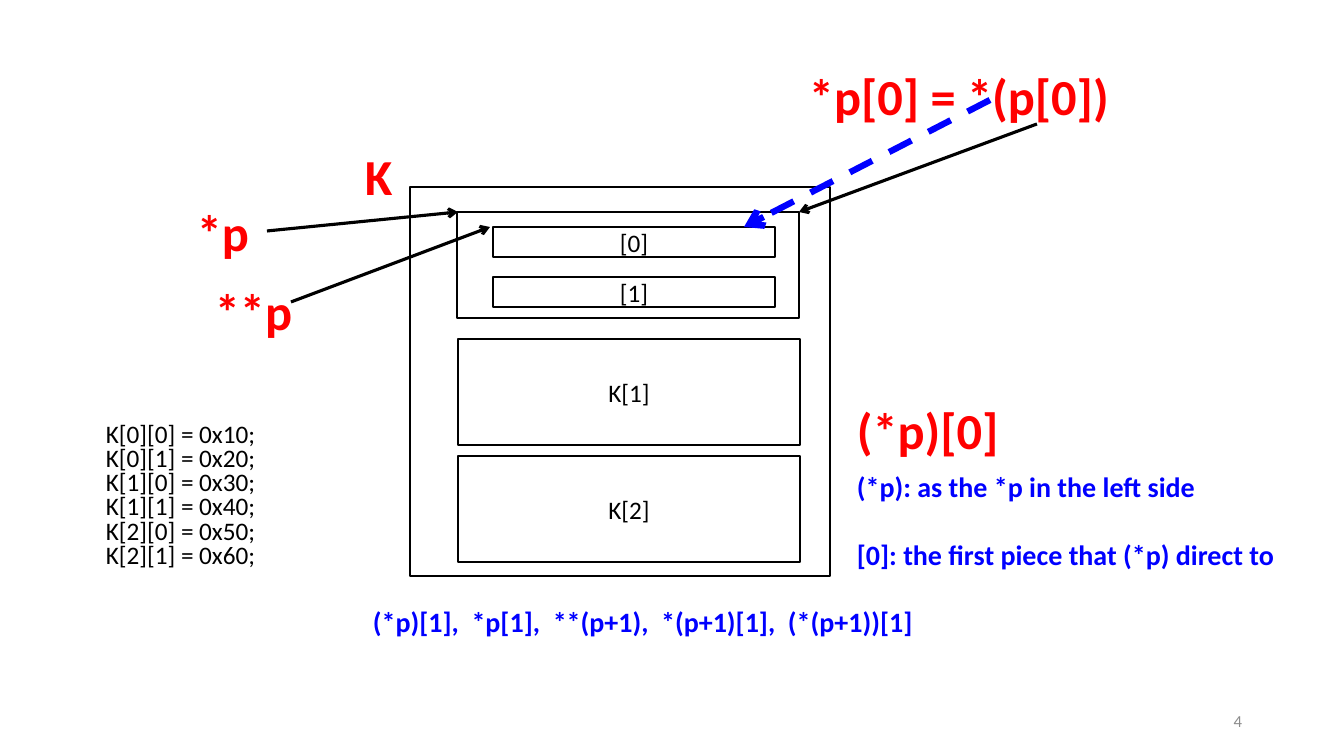
from pptx import Presentation
from pptx.dml.color import RGBColor
from pptx.enum.dml import MSO_LINE
from pptx.enum.shapes import MSO_CONNECTOR as CONN, MSO_SHAPE as SHAPE
from pptx.enum.text import MSO_ANCHOR as ANCHOR, PP_ALIGN as ALIGN
from pptx.oxml.ns import qn
from pptx.util import Emu, Pt
from lxml import etree

BLACK, RED, BLUE, GREY = "000000", "FF0000", "0000FF", "8C8C8C"
FONT = "Calibri"

# Content: places are left, top, width, height in pixels
MEMORY_BOXES = [
    ("", (410, 187, 420, 389)),
    ("", (457, 212, 342, 106)),
    ("K[1]", (458, 339, 342, 106)),
    ("K[2]", (458, 456, 342, 106)),
    ("[0]", (493, 227, 282, 30)),
    ("[1]", (493, 277, 282, 30)),
]
LABELS = [
    ("K", (355, 140, 80, 71)),
    ("*p", (187, 196, 80, 71)),
    ("**p", (205, 275, 102, 71)),
    ("*p[0] = *(p[0])", (799, 60, 330, 71)),
    ("(*p)[0]", (847, 394, 182, 71)),
]
NOTES = ["(*p): as the *p in the left side",
         "[0]: the first piece that (*p) direct to"]
EXPRESSIONS = ["(*p)[1]", "*p[1]", "**(p+1)", "*(p+1)[1]", "(*(p+1))[1]"]
VALUES = [["0x10", "0x20"], ["0x30", "0x40"], ["0x50", "0x60"]]
# start, end, colour, width in points, dash
ARROWS = [
    ((267, 231), (458, 212), BLACK, 2.25, None),
    ((291, 302), (490, 227), BLACK, 2.25, None),
    ((1037, 124), (799, 212), BLACK, 2.25, None),
    ((990, 100), (744, 227), BLUE, 4.5, MSO_LINE.DASH),
]


def px(*lengths):
    return [Emu(round(n * 914400 / 100.8)) for n in lengths]


def rgb(value):
    return RGBColor.from_string(value)


def write(tf, lines, size, color, bold=False, align=ALIGN.LEFT,
          anchor=ANCHOR.TOP, spacing=None, gap=0):
    tf.word_wrap = True
    tf.vertical_anchor = anchor
    for i, line in enumerate(lines):
        p = tf.paragraphs[0] if i == 0 else tf.add_paragraph()
        p.alignment = align
        p.line_spacing = spacing
        p.space_before = Pt(gap if i else 0)
        r = p.add_run()
        r.text = line
        r.font.name, r.font.size, r.font.bold = FONT, Pt(size), bold
        r.font.color.rgb = rgb(color)


def add_text(place, lines, size, color, **style):
    tf = slide.shapes.add_textbox(*px(*place)).text_frame
    write(tf, lines, size, color, **style)


def add_box(text, place):
    sp = slide.shapes.add_shape(SHAPE.RECTANGLE, *px(*place))
    sp.shadow.inherit = False
    sp.fill.background()
    sp.line.color.rgb = rgb(BLACK)
    sp.line.width = Pt(1)
    if text:
        write(sp.text_frame, [text], 18, BLACK,
              align=ALIGN.CENTER, anchor=ANCHOR.MIDDLE)


def add_arrow(start, end, color, width, dash):
    line = slide.shapes.add_connector(CONN.STRAIGHT, *px(*start, *end))
    line.line.color.rgb = rgb(color)
    line.line.width = Pt(width)
    if dash:
        line.line.dash_style = dash
    spPr = line._element.spPr
    etree.SubElement(spPr.find(qn("a:ln")), qn("a:tailEnd"), type="arrow")
    etree.SubElement(spPr, qn("a:effectLst"))


prs = Presentation()
prs.slide_width, prs.slide_height = px(1344, 756)
slide = prs.slides.add_slide(prs.slide_layouts[6])

# Memory layout of K
for text, place in MEMORY_BOXES:
    add_box(text, place)

# Pointer labels and arrows
for text, place in LABELS:
    add_text(place, [text], 36, RED, bold=True)
for arrow in ARROWS:
    add_arrow(*arrow)

# Explanations, one empty line's height apart
add_text((847, 465, 476, 112), NOTES, 20, BLUE, bold=True, gap=24)
add_text((363, 600, 746, 44), [",  ".join(EXPRESSIONS)], 20, BLUE, bold=True)

# Array assignments
code = [f"K[{i}][{j}] = {value};"
        for i, row in enumerate(VALUES) for j, value in enumerate(row)]
add_text((96, 419, 196, 157), code, 18, BLACK, spacing=0.8)

# Slide number
add_text((950, 701, 302, 40), ["4"], 12, GREY,
         align=ALIGN.RIGHT, anchor=ANCHOR.MIDDLE)

prs.save("out.pptx")
